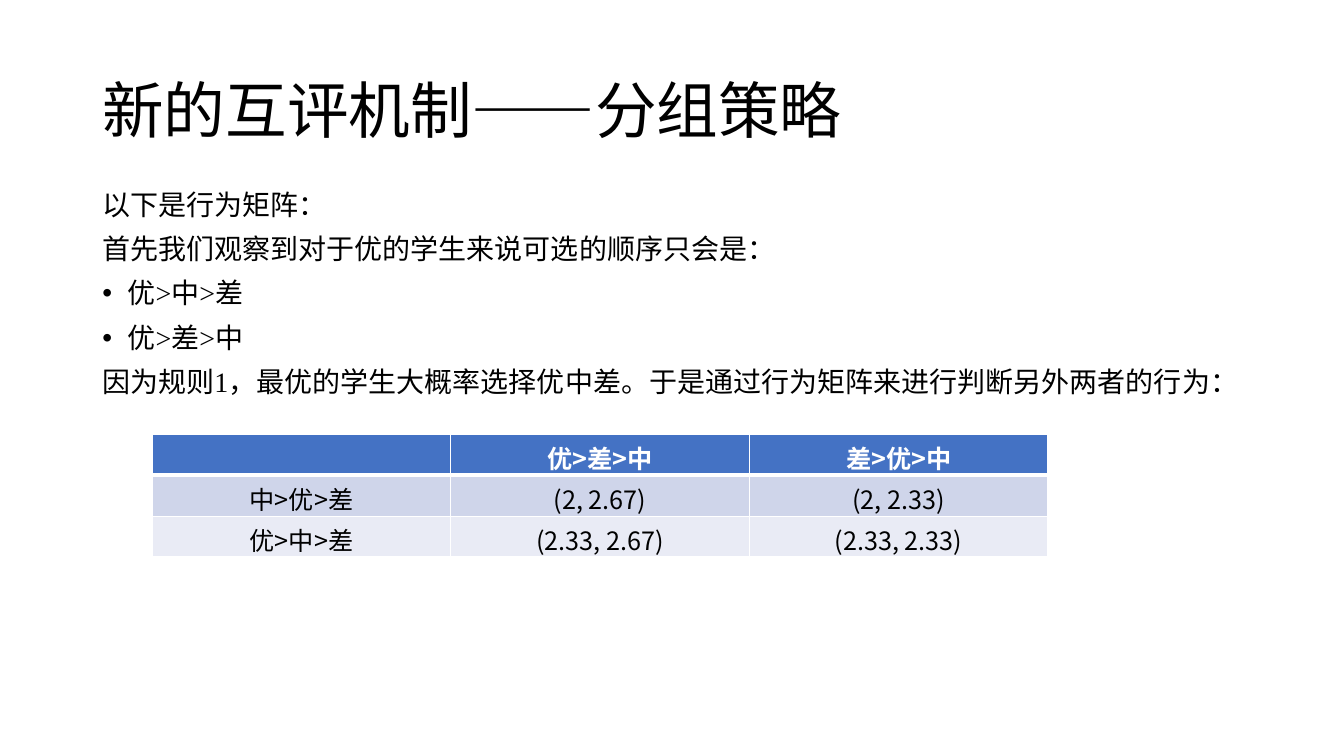
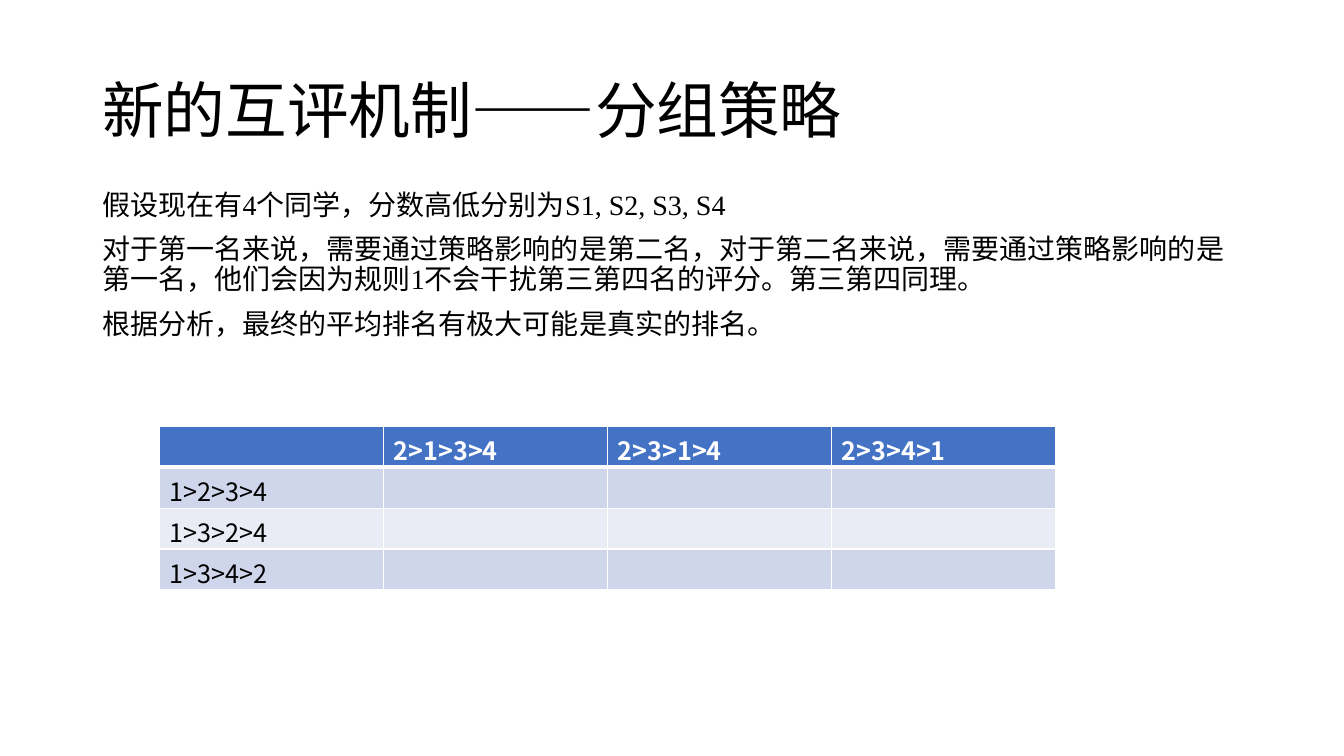
from lxml import etree
from pptx import Presentation
from pptx.dml.color import RGBColor
from pptx.enum.text import MSO_ANCHOR, PP_ALIGN
from pptx.oxml.ns import qn
from pptx.util import Pt

MIDDLE, TOP = MSO_ANCHOR.MIDDLE, MSO_ANCHOR.TOP
LEFT, CENTER = PP_ALIGN.LEFT, PP_ALIGN.CENTER

BLACK = RGBColor(0x00, 0x00, 0x00)
WHITE = RGBColor(0xFF, 0xFF, 0xFF)
HEADER_BLUE = RGBColor(0x44, 0x72, 0xC4)
BANDS = (RGBColor(0xCF, 0xD5, 0xEA), RGBColor(0xE9, 0xEB, 0xF5))

SANS, SERIF = "Noto Sans CJK SC", "Times New Roman"
TITLE_FONT = {"name": SANS, "size": Pt(44), "color": BLACK}
BODY_FONT = {"name": SERIF, "size": Pt(20), "color": BLACK}
HEADER_FONT = {"name": SANS, "size": Pt(18), "color": WHITE, "bold": True}
CELL_FONT = {"name": SANS, "size": Pt(18), "color": BLACK, "bold": False}
TITLE_PARA = {"line_spacing": 0.9}
BODY_PARA = {"line_spacing": 0.9, "space_before": Pt(10)}

TITLE_AREA = (Pt(66), Pt(28.75), Pt(828), Pt(104.4))
BODY_AREA = (Pt(66), Pt(133.1), Pt(828), Pt(342.7))
TABLE_WIDTH, ROW_HEIGHT = Pt(640), Pt(29.2)
BULLET_INDENT = Pt(18)
THIN, THICK = Pt(1), Pt(3)

TITLE = "新的互评机制——分组策略"
BULLET = "• "

SLIDES = (
    {
        "body": (
            "以下是行为矩阵：",
            "首先我们观察到对于优的学生来说可选的顺序只会是：",
            BULLET + "优>中>差",
            BULLET + "优>差>中",
            "因为规则1，最优的学生大概率选择优中差。于是通过行为矩阵来进行判断另外两者的行为：",
        ),
        "table_at": (Pt(108.7), Pt(310.3)),
        "align": CENTER,
        "rows": (
            ("", "优>差>中", "差>优>中"),
            ("中>优>差", "(2, 2.67)", "(2, 2.33)"),
            ("优>中>差", "(2.33, 2.67)", "(2.33, 2.33)"),
        ),
    },
    {
        "body": (
            "假设现在有4个同学，分数高低分别为S1, S2, S3, S4",
            "对于第一名来说，需要通过策略影响的是第二名，对于第二名来说，需要通过策略影响的是"
            "第一名，他们会因为规则1不会干扰第三第四名的评分。第三第四同理。",
            "根据分析，最终的平均排名有极大可能是真实的排名。",
        ),
        "table_at": (Pt(114.1), Pt(304.6)),
        "align": LEFT,
        "rows": (
            ("", "2>1>3>4", "2>3>1>4", "2>3>4>1"),
            ("1>2>3>4", "", "", ""),
            ("1>3>2>4", "", "", ""),
            ("1>3>4>2", "", "", ""),
        ),
    },
)


def set_values(target, values):
    """Set each named value as an attribute of the target."""
    for name, value in values.items():
        setattr(target, name, value)


def add_span(para, text, font):
    """Add a run whose Latin and East Asian fonts are both set."""
    span = para.add_run()
    span.text = text
    set_values(span.font, {k: v for k, v in font.items() if k != "color"})
    span.font.color.rgb = font["color"]
    etree.SubElement(span._r.get_or_add_rPr(), qn("a:ea"), typeface=SANS)


def add_bullet(para):
    """Give a paragraph a hanging round bullet."""
    properties = para._p.get_or_add_pPr()
    properties.set("marL", str(BULLET_INDENT))
    properties.set("indent", str(-BULLET_INDENT))
    etree.SubElement(properties, qn("a:buFont"), typeface="Arial")
    etree.SubElement(properties, qn("a:buChar"), char=BULLET.strip())


def add_text(page, area, lines, font, para_format, anchor):
    """Add a wrapping text box with one paragraph for each line."""
    frame = page.shapes.add_textbox(*area).text_frame
    set_values(frame, {"word_wrap": True, "vertical_anchor": anchor})
    for index, line in enumerate(lines):
        para = frame.add_paragraph() if index else frame.paragraphs[0]
        set_values(para, para_format)
        if line.startswith(BULLET):
            add_bullet(para)
        add_span(para, line.removeprefix(BULLET), font)


def add_borders(cell, row_index):
    """Draw white cell borders, thicker between header and data."""
    widths = {
        "a:lnL": THIN,
        "a:lnR": THIN,
        "a:lnT": THICK if row_index == 1 else THIN,
        "a:lnB": THICK if row_index == 0 else THIN,
    }
    properties = cell._tc.get_or_add_tcPr()
    for tag, width in widths.items():
        border = etree.SubElement(properties, qn(tag), w=str(width))
        fill = etree.SubElement(border, qn("a:solidFill"))
        etree.SubElement(fill, qn("a:srgbClr"), val=str(WHITE))


def add_matrix(page, position, rows, align):
    """Add a table with a blue header row and banded data rows."""
    row_count, column_count = len(rows), len(rows[0])
    table = page.shapes.add_table(
        row_count, column_count, *position, TABLE_WIDTH, ROW_HEIGHT * row_count
    ).table
    for row_index, texts in enumerate(rows):
        is_header = row_index == 0
        fill_color = HEADER_BLUE if is_header else BANDS[(row_index - 1) % 2]
        for column_index, text in enumerate(texts):
            cell = table.cell(row_index, column_index)
            add_borders(cell, row_index)
            cell.fill.solid()
            cell.fill.fore_color.rgb = fill_color
            para = cell.text_frame.paragraphs[0]
            para.alignment = align
            if text:
                add_span(para, text, HEADER_FONT if is_header else CELL_FONT)


def main():
    """Build the deck and save it."""
    deck = Presentation()
    set_values(deck, {"slide_width": Pt(960), "slide_height": Pt(540)})
    blank_layout = deck.slide_layouts[6]
    for content in SLIDES:
        page = deck.slides.add_slide(blank_layout)
        add_text(page, TITLE_AREA, [TITLE], TITLE_FONT, TITLE_PARA, MIDDLE)
        add_text(page, BODY_AREA, content["body"], BODY_FONT, BODY_PARA, TOP)
        add_matrix(page, content["table_at"], content["rows"], content["align"])
    deck.save("out.pptx")


main()
